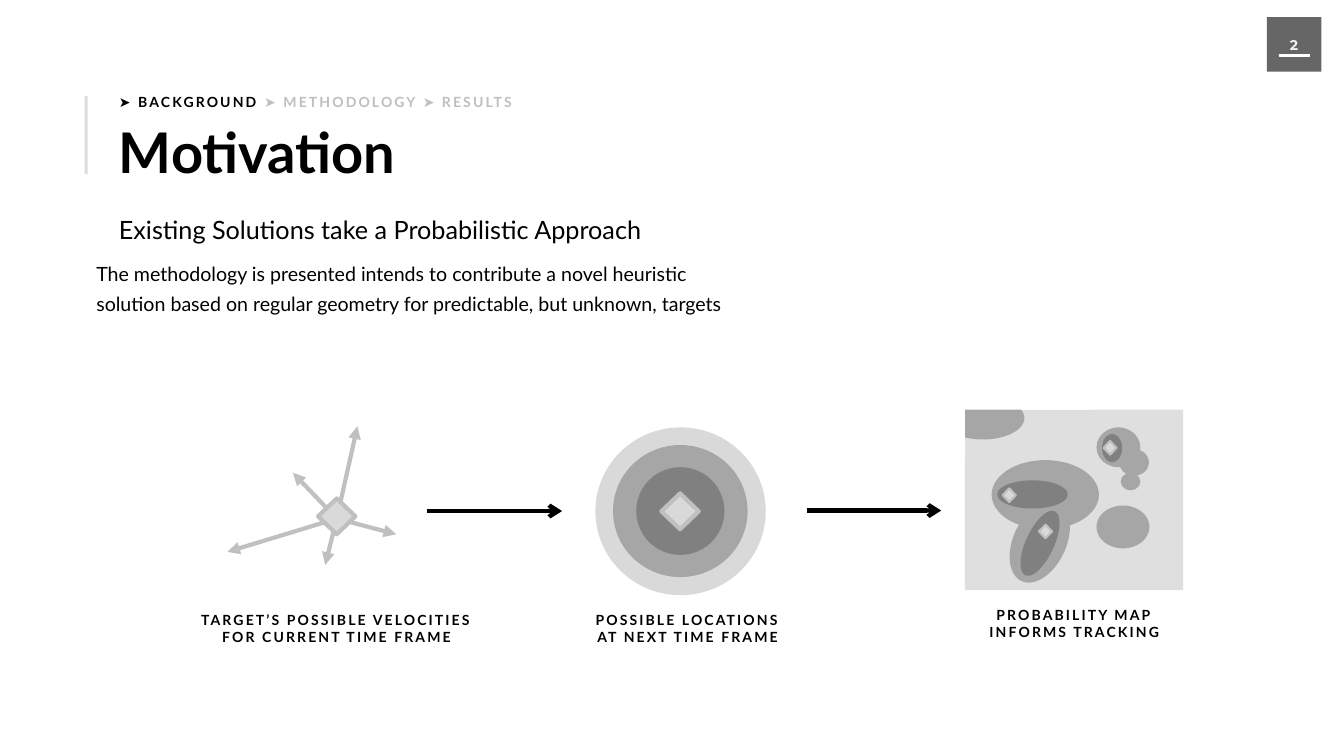
import pptx
import pptx.util
import pptx.dml.color
import pptx.enum.shapes
import pptx.enum.text
from lxml import etree

Inches = pptx.util.Inches
Pt = pptx.util.Pt
RGB = pptx.dml.color.RGBColor
MSO = pptx.enum.shapes.MSO_SHAPE
ALIGN = pptx.enum.text.PP_ALIGN
ANCHOR = pptx.enum.text.MSO_ANCHOR

BLACK = RGB(0x00, 0x00, 0x00)
WHITE = RGB(0xFF, 0xFF, 0xFF)
OFF_WHITE = RGB(0xF2, 0xF2, 0xF2)
BADGE = RGB(0x66, 0x66, 0x66)
MAP_GREY = RGB(0xDF, 0xDF, 0xDF)
BAR_GREY = RGB(0xDD, 0xDD, 0xDD)
LIGHT = RGB(0xD9, 0xD9, 0xD9)
OUTLINE = RGB(0xC0, 0xC0, 0xC0)
FADED = RGB(0xBF, 0xBF, 0xBF)
MEDIUM = RGB(0xA6, 0xA6, 0xA6)
DARK = RGB(0x80, 0x80, 0x80)

prs = pptx.Presentation()
prs.slide_width, prs.slide_height = Inches(26.66), Inches(15)
s = prs.slides.add_slide(prs.slide_layouts[5])


def add_shape(kind, box, fill, line=None, width=0, rotation=0):
    sp = s.shapes.add_shape(kind, *map(Inches, box))
    sp.shadow.inherit = False
    sp.rotation = rotation
    sp.fill.solid()
    sp.fill.fore_color.rgb = fill
    if line is None:
        sp.line.fill.background()
    else:
        sp.line.color.rgb = line
        sp.line.width = Pt(width)


def add_arrow(start, end, color, head):
    c = s.shapes.add_connector(pptx.enum.shapes.MSO_CONNECTOR.STRAIGHT,
                               *map(Inches, start + end))
    c.line.color.rgb = color
    c.line.width = Pt(6)
    ns = pptx.oxml.ns.qn
    etree.SubElement(c.line._get_or_add_ln(), ns("a:tailEnd"), type=head)
    etree.SubElement(c._element.spPr, ns("a:effectLst"))


# Page number
add_shape(MSO.RECTANGLE, (25.13, 0.34, 1.08, 1.08), BADGE)
add_shape(MSO.RECTANGLE, (25.37, 1.08, 0.6, 0.04), WHITE, WHITE, 1)

# Heading
add_shape(MSO.RECTANGLE, (1.68, 1.91, 0.06, 1.54), BAR_GREY)
title = s.shapes.title
title.left, title.top = Inches(2.26), Inches(2.29)
title.width, title.height = Inches(6.03), Inches(1.45)
tf = title.text_frame
tf.text = "Motivation"
tf.word_wrap = True
tf.auto_size = pptx.enum.text.MSO_AUTO_SIZE.NONE
tf.vertical_anchor = ANCHOR.TOP
p = tf.paragraphs[0]
p.alignment = ALIGN.LEFT
p.font.name, p.font.size, p.font.bold = "Lato", Pt(80), True
p.font.color.rgb = BLACK

# Texts: box, (text, colour) runs, font, size, bold, letter spacing, alignment, insets
texts = [
    ((25.27, 0.62, 0.8, 0.54), [("2", OFF_WHITE)],
     "Montserrat", 20, True, 0, ALIGN.CENTER, (0.1, 0.1)),
    ((2.26, 1.81, 11.22, 0.44),
     [("➤ BACKGROUND ", BLACK), ("➤ METHODOLOGY ➤ RESULTS", FADED)],
     "Lato", 20, True, 3, ALIGN.LEFT, (0.1, 0.05)),
    ((2.26, 4.21, 12.41, 0.71),
     [("Existing Solutions take a Probabilistic Approach", BLACK)],
     "Lato", 36, False, 0, ALIGN.LEFT, (0.1, 0.05)),
    ((1.67, 4.95, 13.51, 1.38),
     [("The methodology is presented intends to contribute a novel heuristic "
       "solution based on regular geometry for predictable, but unknown, targets", BLACK)],
     "Lato", 28, False, 0, ALIGN.LEFT, (0.24, 0.12)),
]
captions = [
    ((3.7, 12.09, 5.95, 0.77), "TARGET’S POSSIBLE VELOCITIES FOR CURRENT TIME FRAME"),
    ((11.69, 12.09, 3.9, 0.77), "POSSIBLE LOCATIONS AT NEXT TIME FRAME"),
    ((19.36, 11.99, 3.9, 0.77), "PROBABILITY MAP INFORMS TRACKING"),
]
for box, text in captions:
    texts.append((box, [(text, BLACK)], "Lato", 20, True, 3, ALIGN.CENTER, (0.1, 0.05)))

for box, runs, font, size, bold, spacing, align, (inset_x, inset_y) in texts:
    tf = s.shapes.add_textbox(*map(Inches, box)).text_frame
    tf.word_wrap = True
    tf.margin_left = tf.margin_right = Inches(inset_x)
    tf.margin_top = tf.margin_bottom = Inches(inset_y)
    p = tf.paragraphs[0]
    p.alignment = align
    if size == 28:
        p.line_spacing = Pt(43)
    p.font.name, p.font.size, p.font.bold = font, Pt(size), bold
    if spacing:
        p.font._element.set("spc", str(spacing * 100))
    for text, color in runs:
        r = p.add_run()
        r.text = text
        r.font.color.rgb = color

# Possible velocities
target = (6.68, 10.29)
for tip in [(7.09, 8.46), (7.86, 10.6), (5.81, 9.38), (4.51, 10.95), (6.45, 11.21)]:
    add_arrow(target, tip, OUTLINE, "triangle")
add_shape(MSO.DIAMOND, (6.31, 9.89, 0.74, 0.71), LIGHT, OUTLINE, 6)

# Possible locations
for box, color in [((11.81, 8.48, 3.38, 3.33), LIGHT),
                   ((12.16, 8.83, 2.67, 2.62), MEDIUM),
                   ((12.62, 9.27, 1.75, 1.74), DARK)]:
    add_shape(MSO.OVAL, box, color)
add_shape(MSO.DIAMOND, (13.12, 9.79, 0.74, 0.71), LIGHT, OUTLINE, 6)

# Steps between the diagrams
add_arrow((8.47, 10.14), (11.15, 10.14), BLACK, "arrow")
add_arrow((16, 10.13), (18.67, 10.13), BLACK, "arrow")

# Probability map
add_shape(MSO.RECTANGLE, (19.14, 8.13, 4.33, 3.58), MAP_GREY)
regions = [
    ((19.67, 9.13, 2.13, 1.37), MEDIUM, 0),
    ((21.75, 10.03, 1.05, 0.85), MEDIUM, 0),
    ((20.1, 9.89, 1.05, 1.72), MEDIUM, 25),
    ((19.93, 10.5, 1.4, 0.56), DARK, 114.7),
    ((19.78, 9.53, 1.4, 0.56), DARK, 0),
    ((21.75, 8.48, 0.87, 0.79), MEDIUM, 0),
    ((22.2, 8.91, 0.59, 0.53), MEDIUM, 0),
    ((22.23, 9.38, 0.39, 0.35), MEDIUM, 0),
    ((21.86, 8.61, 0.4, 0.56), DARK, 0),
    ((18.68, 7.87, 1.64, 0.85), MEDIUM, 0),
]
for box, color, rotation in regions:
    add_shape(MSO.OVAL, box, color, rotation=rotation)
# White masks trim the corner region to the map's edges
for box in [(17.8, 7.46, 1.34, 1.67), (17.88, 7.63, 3.83, 0.5)]:
    add_shape(MSO.RECTANGLE, box, WHITE)
for left, top in [(19.89, 9.69), (20.61, 10.41), (21.89, 8.75)]:
    add_shape(MSO.DIAMOND, (left, top, 0.26, 0.27), LIGHT, OUTLINE, 3)

prs.save("out.pptx")
